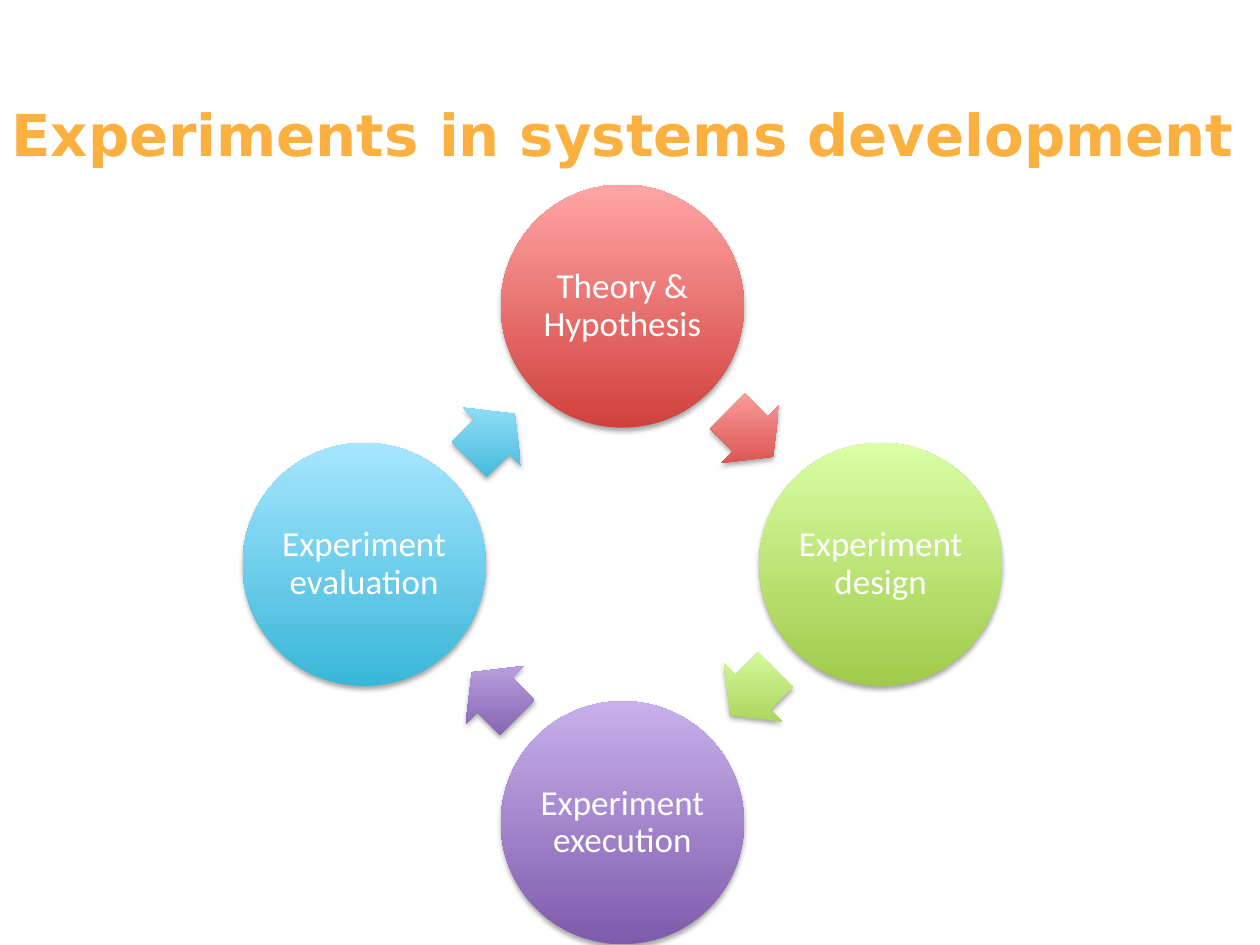
from dataclasses import dataclass
from math import cos, radians, sin

from lxml.etree import SubElement
from pptx import Presentation
from pptx.dml.color import RGBColor
from pptx.enum.shapes import MSO_SHAPE
from pptx.enum.text import MSO_ANCHOR, MSO_AUTO_SIZE, PP_ALIGN
from pptx.oxml.ns import qn
from pptx.util import Inches, Pt

COLUMNS, ROWS = 100, 75
CENTER = (49.4, 44.8)
RING_RADIUS, ARROW_RADIUS = 20.5, 14.5
CIRCLE_SIZE, ARROW_WIDTH, ARROW_HEIGHT = 19.3, 5.1, 6.5
ARROW_START = -45.56


@dataclass(frozen=True)
class Theme:
    """Colours, fonts and type sizes of the slide."""

    title_color: str = "FBB040"
    title_font: str = "DejaVu Sans"
    title_size: int = 33
    step_color: str = "FFFFFF"
    step_font: str = "Calibri"
    step_size: int = 20
    red: tuple = ("D1403C", "FFA6A5")
    green: tuple = ("A0CA4A", "DAFFA5")
    purple: tuple = ("7F5BAB", "C8B0ED")
    blue: tuple = ("39B7D8", "A7E6FF")


THEME = Theme()
STEPS = [
    ("Theory & Hypothesis", THEME.red),
    ("Experiment design", THEME.green),
    ("Experiment execution", THEME.purple),
    ("Experiment evaluation", THEME.blue),
]


def cells(count):
    """Convert a number of grid cells to a length."""
    return Inches(count * 10 / COLUMNS)


def write_text(shape, text, *, font, size, color, bold=False, align=PP_ALIGN.CENTER,
               anchor=MSO_ANCHOR.MIDDLE, margins=(0.03, 0.03), line_spacing=1.0, before=0):
    """Write one formatted paragraph into a shape."""
    frame = shape.text_frame
    frame.word_wrap = True
    frame.auto_size = MSO_AUTO_SIZE.NONE
    frame.vertical_anchor = anchor
    frame.margin_left = frame.margin_right = Inches(margins[0])
    frame.margin_top = frame.margin_bottom = Inches(margins[1])
    paragraph = frame.paragraphs[0]
    paragraph.alignment = align
    paragraph.line_spacing = line_spacing
    paragraph.space_before = Pt(before)
    run = paragraph.add_run()
    run.text = text
    run.font.name = font
    run.font.size = Pt(size)
    run.font.bold = bold
    run.font.color.rgb = RGBColor.from_string(color)


def fill_gradient(shape, colors):
    """Fill a shape from bottom to top, whatever its rotation."""
    shape.fill.gradient()
    shape.fill.gradient_angle = 90
    for stop, color in zip(shape.fill.gradient_stops, colors):
        stop.color.rgb = RGBColor.from_string(color)
    shape.line.fill.background()
    shape._element.spPr.find(qn("a:gradFill")).set("rotWithShape", "0")


def add_shadow(shape):
    """Give a shape a soft shadow below it."""
    shape.shadow.inherit = False
    effects = shape._element.spPr.find(qn("a:effectLst"))
    shadow = SubElement(effects, qn("a:outerShdw"), blurRad=str(Pt(3.1)), dist=str(Pt(1.8)),
                        dir="5400000", rotWithShape="0")
    color = SubElement(shadow, qn("a:srgbClr"), val="000000")
    SubElement(color, qn("a:alpha"), val="35000")


def add_ring_shape(slide, kind, angle, radius, width, height, colors):
    """Add a gradient shape centred at an angle on the ring."""
    left = CENTER[0] + radius * cos(radians(angle)) - width / 2
    top = CENTER[1] + radius * sin(radians(angle)) - height / 2
    shape = slide.shapes.add_shape(kind, *map(cells, (left, top, width, height)))
    fill_gradient(shape, colors)
    add_shadow(shape)
    return shape


def add_step(slide, index, text, colors):
    """Add one step of the cycle and the arrow to the next."""
    turn = 90 * index
    circle = add_ring_shape(slide, MSO_SHAPE.OVAL, turn - 90, RING_RADIUS,
                            CIRCLE_SIZE, CIRCLE_SIZE, colors)
    write_text(circle, text, font=THEME.step_font, size=THEME.step_size,
               color=THEME.step_color, line_spacing=0.9)
    arrow = add_ring_shape(slide, MSO_SHAPE.RIGHT_ARROW, turn + ARROW_START, ARROW_RADIUS,
                           ARROW_WIDTH, ARROW_HEIGHT, colors)
    arrow.rotation = turn + 45
    arrow.adjustments[0], arrow.adjustments[1] = 0.6, 0.5


def add_title(slide, text):
    """Place and format the title."""
    title = slide.shapes.title
    title.left, title.top, title.width, title.height = map(cells, (0, 7.3, COLUMNS, 7.3))
    write_text(title, text, font=THEME.title_font, size=THEME.title_size,
               color=THEME.title_color, bold=True, align=PP_ALIGN.LEFT,
               anchor=MSO_ANCHOR.TOP, margins=(0.09, 0.05), before=2.4)


def main():
    """Build and save the slide."""
    presentation = Presentation()
    presentation.slide_width, presentation.slide_height = cells(COLUMNS), cells(ROWS)
    slide = presentation.slides.add_slide(presentation.slide_layouts[5])
    add_title(slide, "Experiments in systems development")
    for index, (text, colors) in enumerate(STEPS):
        add_step(slide, index, text, colors)
    presentation.save("out.pptx")


if __name__ == "__main__":
    main()
